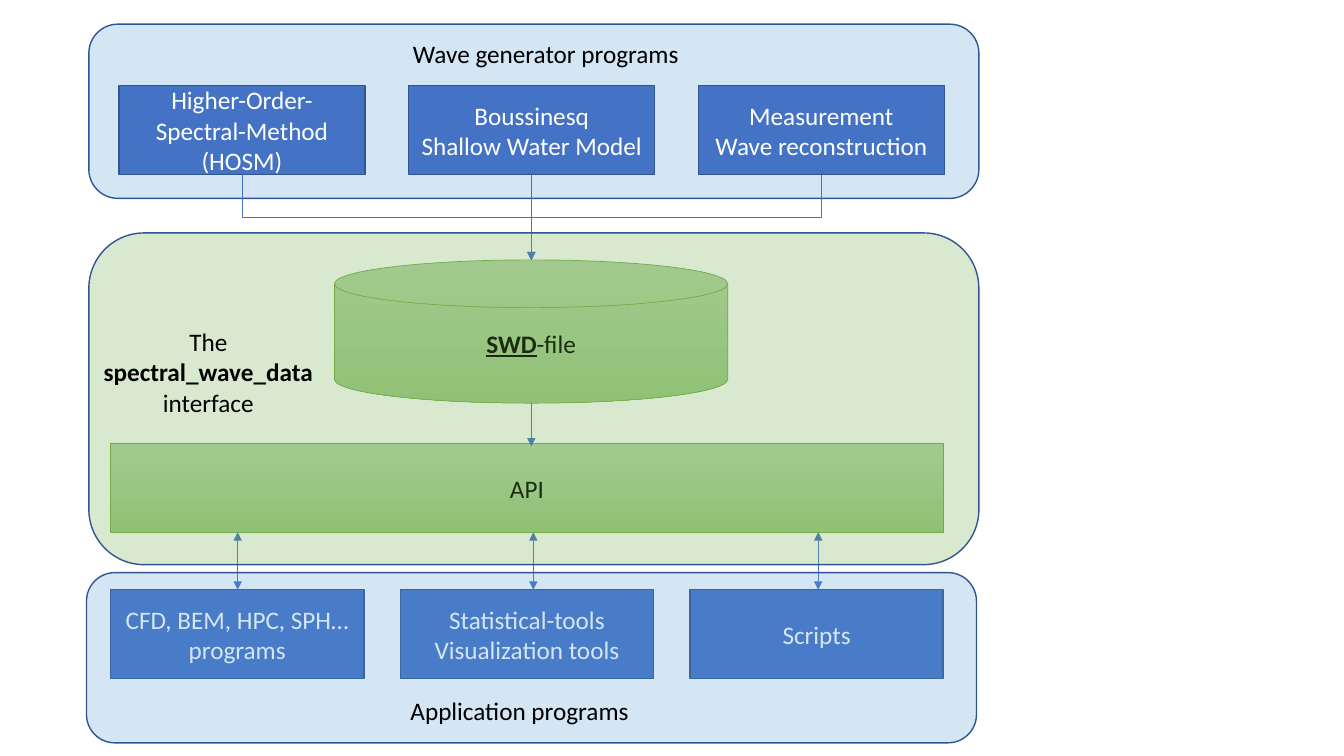
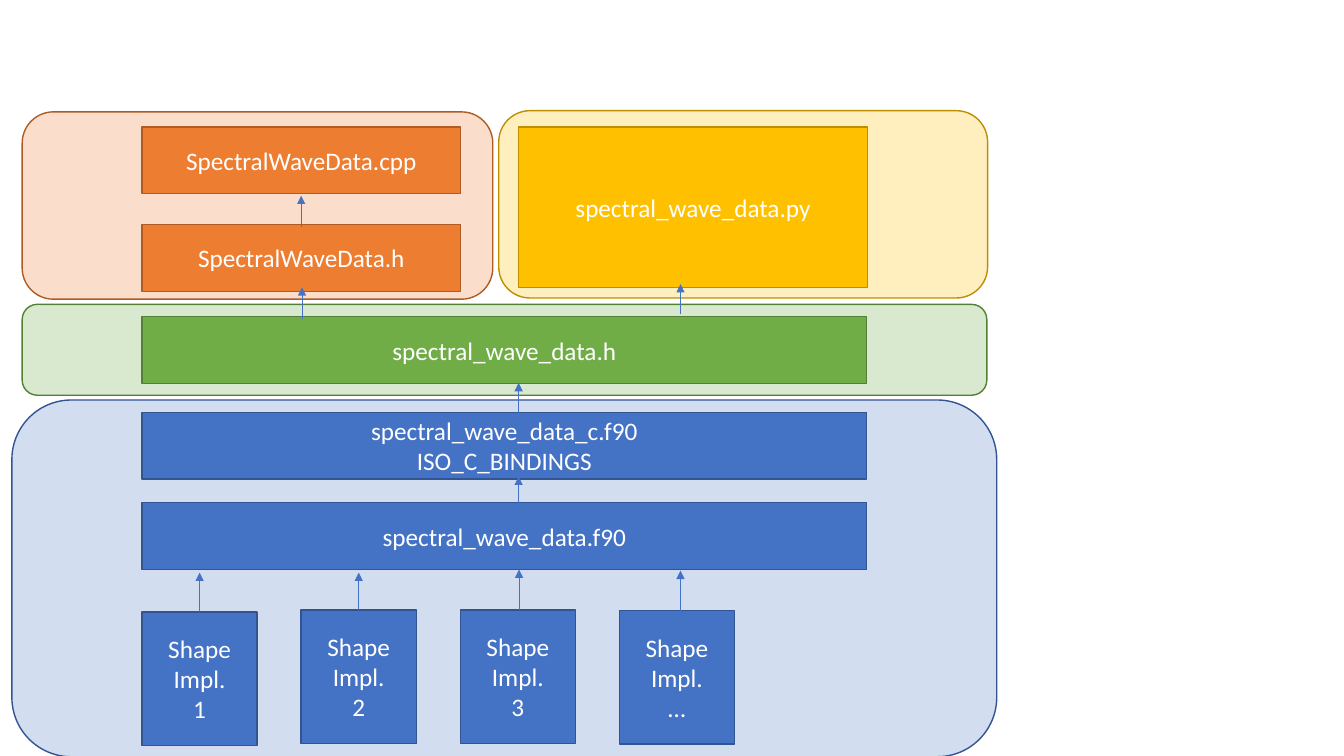
from lxml import etree
from pptx import Presentation
from pptx import util as u
from pptx.dml import color
from pptx.enum import shapes, text
from pptx.oxml import ns

FONT = "Calibri"
WHITE, BLACK = "FFFFFF", "000000"
BLUE, SKY, GREEN, ORANGE, GOLD = "4472C4", "5B9BD5", "70AD47", "ED7D31", "FFC000"
EDGE = {BLUE: "325491", SKY: "325491", GREEN: "538035",
        ORANGE: "AF5C24", GOLD: "BD8E00"}
SHADE = ("B5D5A7", "9CC987")
KIND, LINK = shapes.MSO_SHAPE, shapes.MSO_CONNECTOR


def rgb(code):
    return color.RGBColor.from_string(code)


def cm(*sizes):
    return [u.Cm(size) for size in sizes]


def write(frame, words, ink):
    """Put centred lines into a text frame."""
    frame.text = words
    for para in frame.paragraphs:
        para.alignment = text.PP_ALIGN.CENTER
        para.font.name = FONT
        para.font.size = u.Pt(18)
        para.font.color.rgb = rgb(ink)
    return frame


def shape(slide, kind, box, edge, width=1):
    item = slide.shapes.add_shape(kind, *cm(*box))
    item.shadow.inherit = False
    item.line.color.rgb = rgb(edge)
    item.line.width = u.Pt(width)
    return item


def block(slide, box, words, tone=BLUE):
    item = shape(slide, KIND.FLOWCHART_PROCESS, box, EDGE[tone])
    item.fill.solid()
    item.fill.fore_color.rgb = rgb(tone)
    item.text_frame.vertical_anchor = text.MSO_ANCHOR.MIDDLE
    write(item.text_frame, words, WHITE)


def store(slide, kind, box, words):
    """Add a shaded green shape."""
    item = shape(slide, kind, box, GREEN, 0.5)
    item.fill.gradient()
    item.fill.gradient_angle = 270
    for stop, code in zip(item.fill.gradient_stops, SHADE):
        stop.color.rgb = rgb(code)
    item.text_frame.vertical_anchor = text.MSO_ANCHOR.MIDDLE
    return write(item.text_frame, words, BLACK)


def panel(slide, box, tone, alpha=26, edge=None):
    """Add a rounded, see-through background."""
    item = shape(slide, KIND.ROUNDED_RECTANGLE, box, edge or EDGE[tone])
    item.fill.solid()
    item.fill.fore_color.rgb = rgb(tone)
    tint = item.fill._xPr.find(".//" + ns.qn("a:srgbClr"))
    etree.SubElement(tint, ns.qn("a:alpha"), val=str(alpha * 1000))


def label(slide, box, words):
    frame = slide.shapes.add_textbox(*cm(*box)).text_frame
    frame.word_wrap = False
    return write(frame, words, BLACK)


def arrow(slide, ends, kind=LINK.STRAIGHT, both=False):
    item = slide.shapes.add_connector(kind, *cm(*ends))
    item.line.color.rgb = rgb(BLUE)
    item.line.width = u.Pt(0.5)
    stroke = item.line._get_or_add_ln()
    for tag in ("a:headEnd", "a:tailEnd")[0 if both else 1:]:
        etree.SubElement(stroke, ns.qn(tag), type="triangle")
    etree.SubElement(item._element.spPr, ns.qn("a:effectLst"))
    return item


def elbow(slide, x, y, end, foot):
    """Lead down, across and down again by turning a sideways elbow."""
    drop, span = foot - y, abs(end - x)
    left, top = (x + end - drop) / 2, (y + foot - span) / 2
    sides = [left, left + drop]
    if end > x:
        sides.reverse()
    item = arrow(slide, (sides[0], top, sides[1], top + span), LINK.ELBOW)
    turn = 270 if end > x else 90
    item._element.spPr.xfrm.set("rot", str(turn * 60000))


def trio(slide, x, y, wide, names):
    for i, name in enumerate(names):
        block(slide, (x + i * 7.3, y, wide, 2.24), name)


def makers(slide, x, y):
    """Wave generators and the lines that lead to the file."""
    panel(slide, (x, y, 22.43, 4.39), SKY)
    trio(slide, x + 0.76, y + 1.55, 6.2, (
        "Higher-Order- Spectral-Method\n(HOSM)",
        "Boussinesq\nShallow Water Model",
        "Measurement\nWave reconstruction"))
    top, foot, mid = y + 3.81, y + 5.95, x + 11.15
    for start in (x + 3.86, x + 18.46):
        elbow(slide, start, top, mid, foot)
    arrow(slide, (mid, top, mid, foot))
    label(slide, (x + 7.87, y + 0.23, 7.29, 1.02), "Wave generator programs")


def users(slide, x, y):
    """Application programs and their links to the API."""
    trio(slide, x + 0.61, y + 0.43, 6.38, (
        "CFD, BEM, HPC, SPH…\nprograms",
        "Statistical-tools\nVisualization tools",
        "Scripts"))
    for dx in (3.81, 11.26, 18.44):
        arrow(slide, (x + dx, y + 0.43, x + dx, y - 1.02), both=True)
    panel(slide, (x, y, 22.43, 4.29), SKY)
    label(slide, (x + 7.88, y + 2.97, 6.07, 1.02), "Application programs")


def middle(slide, x, y):
    """The file and the API under a green veil."""
    disk = store(slide, KIND.FLOWCHART_MAGNETIC_DISK,
                 (x + 6.19, y + 0.68, 9.91, 3.61), "SWD")
    para = disk.paragraphs[0]
    para.runs[0].font.bold = para.runs[0].font.underline = True
    para.add_run().text = "-file"
    store(slide, KIND.RECTANGLE, (x + 0.55, y + 5.31, 20.98, 2.24), "API")
    arrow(slide, (x + 11.15, y + 4.29, x + 11.15, y + 5.38))
    panel(slide, (x, y, 22.43, 8.36), GREEN, edge=EDGE[BLUE])
    note = label(slide, (x + 0.1, y + 2.23, 5.82, 2.57),
                 "The\nspectral_wave_data\ninterface")
    note.paragraphs[1].font.bold = True


def cpp(slide, x, y):
    panel(slide, (x, y, 11.86, 4.72), ORANGE, 25)
    for dy, name in ((2.84, "SpectralWaveData.h"), (0.38, "SpectralWaveData.cpp")):
        block(slide, (x + 3.02, y + dy, 8.03, 1.68), name, ORANGE)
    arrow(slide, (x + 7.03, y + 2.9, x + 7.03, y + 2.11))


def python(slide, x, y):
    panel(slide, (x, y, 12.32, 4.72), GOLD, 25)
    block(slide, (x + 0.49, y + 0.41, 8.81, 4.04), "spectral_wave_data.py", GOLD)


def header(slide, x, y):
    """The C header, with arrows to both languages above."""
    panel(slide, (x, y, 24.31, 2.29), GREEN)
    block(slide, (x + 3.02, y + 0.31, 18.26, 1.68), "spectral_wave_data.h", GREEN)
    for dx, low, high in ((7.05, 0.38, -0.43), (16.59, 0.25, -0.51)):
        arrow(slide, (x + dx, y + low, x + dx, y + high))


def fortran(slide, x, y):
    """Fortran layers, with the shapes that feed them."""
    panel(slide, (x, y, 24.82, 8.99), BLUE, 24)
    parts = (("1", 5.34, 4.73, 4.35), ("2", 5.29, 8.74, 4.35),
             ("3", 5.29, 12.78, 4.27), ("…", 5.31, 16.85, 4.3))
    for i, (name, top, dx, tip) in enumerate(parts):
        block(slide, (x + 3.28 + i * 4.01, y + top, 2.9, 3.36),
              "Shape\nImpl.\n" + name)
        arrow(slide, (x + dx, y + top, x + dx, y + tip))
    for dy, name in ((0.31, "spectral_wave_data_c.f90\nISO_C_BINDINGS"),
                     (2.59, "spectral_wave_data.f90")):
        block(slide, (x + 3.28, y + dy, 18.26, 1.68), name)
    for low, high in ((2.95, 1.93), (0.36, -0.43)):
        arrow(slide, (x + 12.77, y + low, x + 12.77, y + high))


def main():
    deck = Presentation()
    deck.slide_width, deck.slide_height = cm(33.87, 19.05)
    pages = (
        ((makers, 2.24, 0.61), (users, 2.18, 14.43), (middle, 2.24, 5.87)),
        ((cpp, 0.56, 2.82), (python, 12.57, 2.79),
         (header, 0.56, 7.67), (fortran, 0.3, 10.08)),
    )
    for page in pages:
        slide = deck.slides.add_slide(deck.slide_layouts[6])
        for draw, x, y in page:
            draw(slide, x, y)
    deck.save("out.pptx")


if __name__ == "__main__":
    main()
